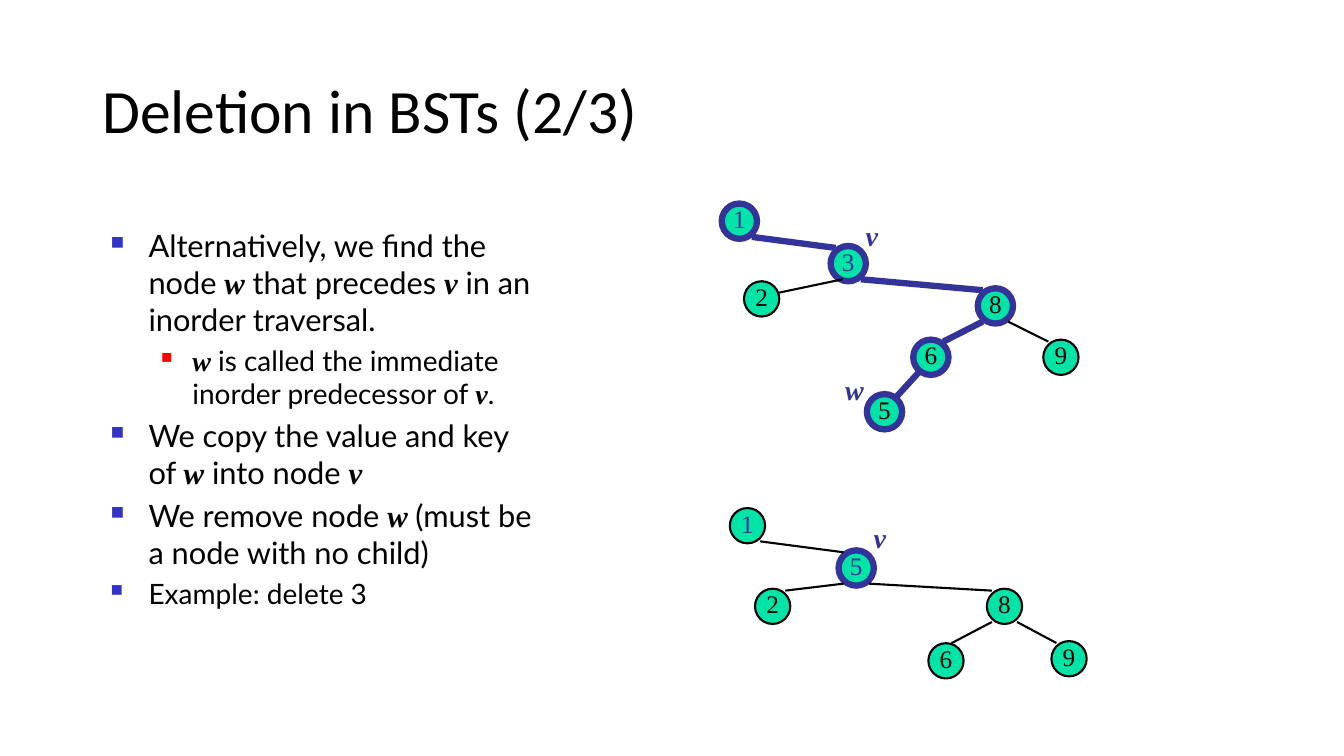
"""Build a slide on deleting a node from a binary search tree."""
from dataclasses import dataclass

from lxml import etree
from pptx import Presentation
from pptx.dml.color import RGBColor
from pptx.enum.shapes import MSO_CONNECTOR, MSO_SHAPE
from pptx.enum.text import MSO_ANCHOR, PP_ALIGN
from pptx.oxml.ns import qn
from pptx.util import Pt

OVAL = MSO_SHAPE.OVAL
STRAIGHT = MSO_CONNECTOR.STRAIGHT
MIDDLE = MSO_ANCHOR.MIDDLE
CENTER = PP_ALIGN.CENTER

BLACK = RGBColor(0x00, 0x00, 0x00)
INDIGO = RGBColor(0x33, 0x33, 0x99)
MINT = RGBColor(0x00, 0xE4, 0xA8)
BLUE = RGBColor(0x33, 0x33, 0xCC)
RED = RGBColor(0xFF, 0x00, 0x00)

SERIF = "Times New Roman"
SANS = "Lato"
DIAMETER = 25.2
NEAR, FAR = 3.6, 21.6
TOP, BOTTOM = 1.4, 23.8
THIN, THICK = 1.5, 4.5


@dataclass(frozen=True)
class Node:
    """A tree node, with the edge to its parent."""
    key: str
    left: float
    top: float
    parent: str = ""
    outlined: bool = False
    color: RGBColor = BLACK
    bold_edge: bool = False
    child_anchor: tuple[float, float] | None = None
    parent_anchor: tuple[float, float] | None = None


@dataclass(frozen=True)
class Label:
    """A variable name beside a node."""
    name: str
    left: float
    top: float
    width: float


@dataclass(frozen=True)
class Level:
    """The format of one bullet level."""
    margin: float
    hanging: float
    color: RGBColor
    bullet_percent: int


@dataclass(frozen=True)
class Bullet:
    """A bullet whose odd-numbered phrases are variable names."""
    phrases: tuple[str, ...]
    size: float = 22
    level: int = 0


BEFORE = [
    Node("1", 515.5, 145.4, outlined=True, color=INDIGO),
    Node("3", 593.3, 175.7, "1", True, INDIGO, True),
    Node("8", 698.4, 205.9, "3", True, bold_edge=True),
    Node("6", 652.3, 242.6, "8", True, bold_edge=True),
    Node("9", 745.2, 242.6, "8"),
    Node("5", 619.2, 281.5, "6", True, bold_edge=True),
    Node("2", 531.4, 200.9, "3", child_anchor=(23, 8.6), parent_anchor=(8.6, BOTTOM)),
]
AFTER = [
    Node("1", 521.3, 362.9, color=INDIGO),
    Node("5", 599, 393.1, "1", True, INDIGO),
    Node("8", 704.9, 420.5, "5"),
    Node("9", 751, 457.9, "8"),
    Node("2", 539.3, 420.5, "5"),
    Node("6", 663.1, 459.4, "8", child_anchor=(16.6, 0)),
]
LABELS = [
    Label("v", 611.3, 152.6, 23),
    Label("w", 596.2, 262.8, 28.1),
    Label("v", 617, 368.6, 23),
]
LEVELS = [Level(27, 27, BLUE, 60), Level(58.3, 22.3, RED, 55)]
BULLETS = [
    Bullet(("Alternatively, we find the node ", "w ", "that precedes ", "v",
            " in an inorder traversal.")),
    Bullet(("", "w ", "is called the immediate inorder predecessor of ", "v", "."), 20, 1),
    Bullet(("We copy the value and key of ", "w", " into node ", "v")),
    Bullet(("We remove node ", "w ", "(must be a node with no child)")),
    Bullet(("Example: delete 3",), 20),
]


def add_span(para, text: str, *, size: float, font: str,
             color: RGBColor = BLACK, strong: bool = False) -> None:
    """Append formatted text; strong means bold italic."""
    span = para.add_run()
    span.text = text
    span.font.size = Pt(size)
    span.font.name = font
    span.font.bold = span.font.italic = strong
    span.font.color.rgb = color


def add_box(page, left: float, top: float, width: float, height: float, wrap: bool = True):
    """Add an empty text box and return its frame."""
    box = page.shapes.add_textbox(Pt(left), Pt(top), Pt(width), Pt(height))
    box.text_frame.word_wrap = wrap
    return box.text_frame


def set_bullet(para, level: Level) -> None:
    """Give a paragraph a square bullet and a hanging indent."""
    properties = para._p.get_or_add_pPr()
    properties.set("marL", str(Pt(level.margin)))
    properties.set("indent", str(-Pt(level.hanging)))
    color = etree.SubElement(properties, qn("a:buClr"))
    etree.SubElement(color, qn("a:srgbClr"), val=str(level.color))
    etree.SubElement(properties, qn("a:buSzPct"), val=str(level.bullet_percent * 1000))
    etree.SubElement(properties, qn("a:buChar"), char="■")


def add_bullets(page, bullets: list[Bullet]) -> None:
    """Add the explanation on the left."""
    frame = add_box(page, 72, 158.4, 317.5, 360)
    for index, bullet in enumerate(bullets):
        para = frame.add_paragraph() if index else frame.paragraphs[0]
        para.level = bullet.level
        para.space_before = Pt(bullet.size * 0.2)
        set_bullet(para, LEVELS[bullet.level])
        for position, phrase in enumerate(bullet.phrases):
            variable = position % 2 == 1
            if phrase:
                add_span(para, phrase, size=bullet.size,
                         font=SERIF if variable else SANS, strong=variable)


def add_node(page, node: Node) -> None:
    """Draw a tree node with its key."""
    circle = page.shapes.add_shape(OVAL, Pt(node.left), Pt(node.top), Pt(DIAMETER), Pt(DIAMETER))
    circle.shadow.inherit = False
    circle.fill.solid()
    circle.fill.fore_color.rgb = MINT
    circle.line.color.rgb = INDIGO if node.outlined else BLACK
    circle.line.width = Pt(THICK if node.outlined else THIN)
    frame = circle.text_frame
    frame.word_wrap = False
    frame.vertical_anchor = MIDDLE
    frame.margin_left = frame.margin_right = frame.margin_top = Pt(0)
    frame.margin_bottom = Pt(3.6)
    para = frame.paragraphs[0]
    para.alignment = CENTER
    add_span(para, node.key, size=18, font=SERIF, color=node.color)


def add_edge(page, parent: Node, child: Node) -> None:
    """Join the parent's lower corner to the child's upper corner."""
    leans_right = child.left > parent.left
    parent_x, parent_y = child.parent_anchor or (FAR if leans_right else NEAR, BOTTOM)
    child_x, child_y = child.child_anchor or (NEAR if leans_right else FAR, TOP)
    edge = page.shapes.add_connector(
        STRAIGHT, Pt(parent.left + parent_x), Pt(parent.top + parent_y),
        Pt(child.left + child_x), Pt(child.top + child_y))
    edge.line.color.rgb = INDIGO if child.bold_edge else BLACK
    edge.line.width = Pt(THICK if child.bold_edge else THIN)
    etree.SubElement(edge._element.spPr, qn("a:effectLst"))


def add_tree(page, nodes: list[Node]) -> None:
    """Draw inner nodes, then edges, then leaves."""
    by_key = {node.key: node for node in nodes}
    parents = {node.parent for node in nodes}
    for node in nodes:
        if node.key in parents:
            add_node(page, node)
    for node in nodes:
        if node.parent:
            add_edge(page, by_key[node.parent], node)
    for node in nodes:
        if node.key not in parents:
            add_node(page, node)


def main() -> None:
    """Build and save the deck."""
    deck = Presentation()
    deck.slide_width, deck.slide_height = Pt(960), Pt(540)
    page = deck.slides.add_slide(deck.slide_layouts[6])
    title = add_box(page, 66, 28.8, 828, 104.4)
    title.vertical_anchor = MIDDLE
    title.paragraphs[0].line_spacing = 0.9
    add_span(title.paragraphs[0], "Deletion in BSTs (2/3)", size=44, font="Calibri")
    for tree in (BEFORE, AFTER):
        add_tree(page, tree)
    for label in LABELS:
        para = add_box(page, label.left, label.top, label.width, 31, wrap=False).paragraphs[0]
        para.alignment = CENTER
        add_span(para, label.name, size=20, font=SERIF, color=INDIGO, strong=True)
    add_bullets(page, BULLETS)
    deck.save("out.pptx")


if __name__ == "__main__":
    main()
